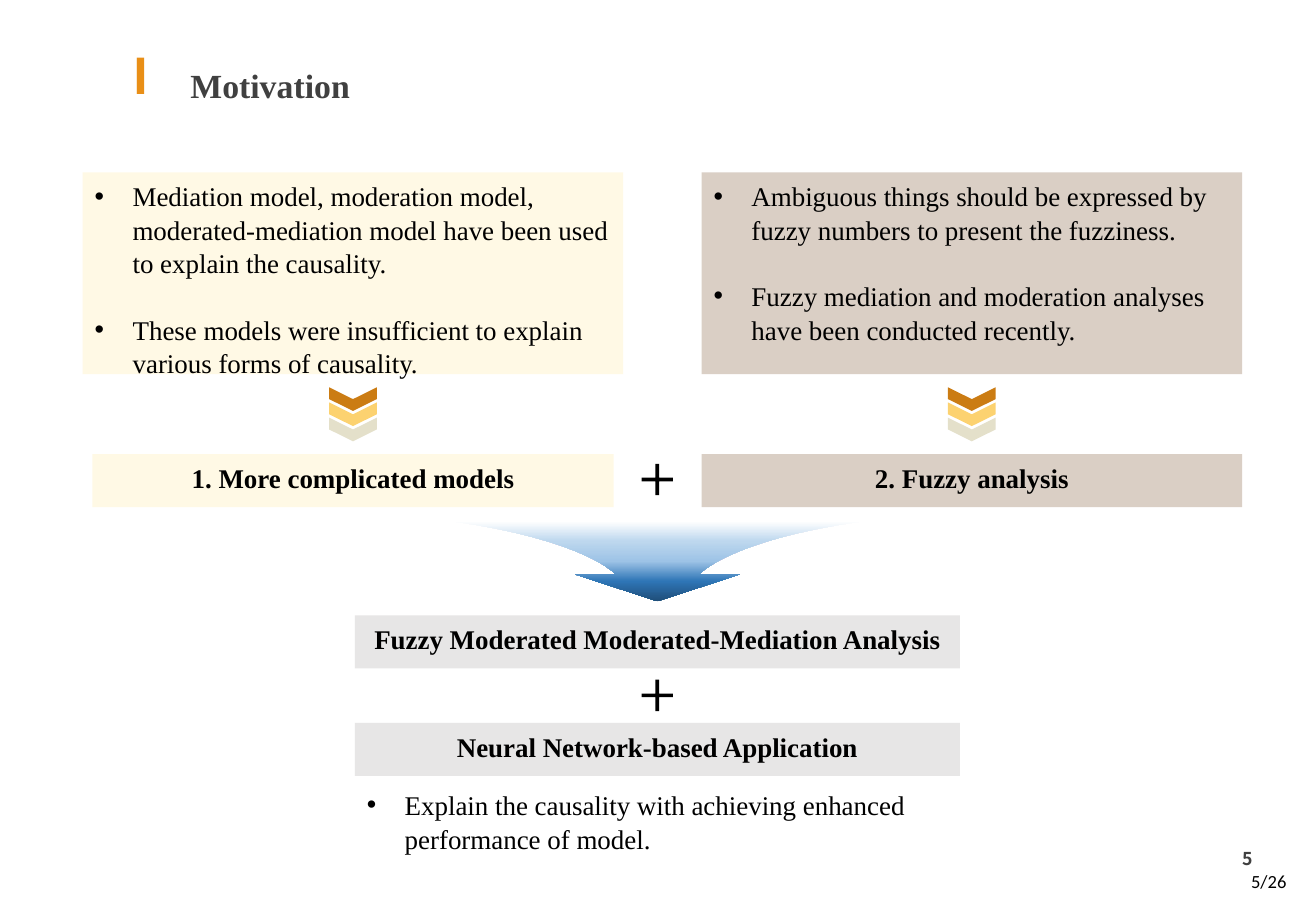
from lxml import etree
from pptx import Presentation
from pptx.dml.color import RGBColor
from pptx.enum.shapes import MSO_SHAPE
from pptx.enum.text import PP_ALIGN
from pptx.oxml.ns import qn
from pptx.util import Pt

RECTANGLE = MSO_SHAPE.RECTANGLE
CHEVRON = MSO_SHAPE.CHEVRON
PLUS = MSO_SHAPE.MATH_PLUS
LEFT, CENTER = PP_ALIGN.LEFT, PP_ALIGN.CENTER
SERIF, CJK, SANS = "Times New Roman", "Noto Sans CJK KR", "Calibri"
COLORS = {
    "black": "000000", "gray": "404040", "orange": "E98F17",
    "cream": "FFF9E5", "taupe": "DACFC5", "silver": "E7E6E6",
    "chevron_top": "CB7C13", "chevron_middle": "FCD270", "chevron_bottom": "E4E0CA",
}
ARROW_GRADIENT = [(0, "FFFFFF"), (25, "BDD7EE"), (50, "9DC3E6"), (75, "2E75B6"), (100, "1F4E79")]

presentation = Presentation()
presentation.slide_width, presentation.slide_height = Pt(780), Pt(540)
slide = presentation.slides.add_slide(presentation.slide_layouts[6])


def add_filled(kind, left, top, width, height, color):
    shape = slide.shapes.add_shape(kind, Pt(left), Pt(top), Pt(width), Pt(height))
    shape.shadow.inherit = False
    shape.fill.solid()
    shape.fill.fore_color.rgb = RGBColor.from_string(COLORS[color])
    shape.line.fill.background()
    return shape


def write(shape, lines, font=SERIF, size=16, color="black", bold=False,
          align=LEFT, bullets=False, spacing=1.04):
    frame = shape.text_frame
    frame.word_wrap = True
    frame.vertical_anchor = 1
    frame.text = "\n".join(lines)
    for index, paragraph in enumerate(frame.paragraphs):
        paragraph.alignment = align
        paragraph.line_spacing = spacing
        if index:
            paragraph.space_before = Pt(19.2)
        if bullets:
            properties = paragraph._p.get_or_add_pPr()
            properties.set("marL", str(Pt(22.5)))
            properties.set("indent", str(-Pt(22.5)))
            etree.SubElement(properties, qn("a:buFont"), typeface="Arial")
            etree.SubElement(properties, qn("a:buChar"), char="•")
        for run in paragraph.runs:
            run.font.name = font
            run.font.size = Pt(size)
            run.font.bold = bold
            run.font.color.rgb = RGBColor.from_string(COLORS[color])
            if font == CJK:
                etree.SubElement(run._r.get_or_add_rPr(), qn("a:ea"), typeface=CJK)


labels = [
    ("5", 729.5, 499, 50.5, 28.8, CJK, 10.5, "gray", True, 1.0),
    ("Ⅰ", 62, 27.4, 31.7, 42.5, CJK, 29, "orange", True, 0.9),
    ("Motivation", 105.8, 33.8, 498, 31.7, SERIF, 20, "gray", True, 1.04),
    ("5/26", 734.4, 512, 40, 20.9, SANS, 11, "black", False, 1.0),
]
for text, left, top, width, height, font, size, color, bold, spacing in labels:
    label = slide.shapes.add_textbox(Pt(left), Pt(top), Pt(width), Pt(height))
    write(label, [text], font, size, color, bold, spacing=spacing)

reasons = [
    (49, "cream", [
        "Mediation model, moderation model, moderated-mediation model have been used to explain the causality.",
        "These models were insufficient to explain various forms of causality.",
    ]),
    (415.8, "taupe", [
        "Ambiguous things should be expressed by fuzzy numbers to present the fuzziness.",
        "Fuzzy mediation and moderation analyses have been conducted recently.",
    ]),
]
for left, color, lines in reasons:
    write(add_filled(RECTANGLE, left, 102.2, 320.4, 119.6, color), lines, bullets=True)
    for step, layer in ((2, "bottom"), (1, "middle"), (0, "top")):
        chevron = add_filled(CHEVRON, left + 153.2, 222.5 + 9 * step, 14, 28.2, "chevron_" + layer)
        chevron.rotation = 90

headings = [
    ("1. More complicated models", 54.7, 269.2, 309, "cream"),
    ("2. Fuzzy analysis", 415.8, 269.2, 320.4, "taupe"),
    ("Fuzzy Moderated Moderated-Mediation Analysis", 210.3, 364.8, 358.6, "silver"),
    ("Neural Network-based Application", 210.3, 428.5, 358.6, "silver"),
]
for text, left, top, width, color in headings:
    write(add_filled(RECTANGLE, left, top, width, 31.5, color), [text], bold=True, align=CENTER)

for top in (271.6, 399.6):
    plus = add_filled(PLUS, 377, top, 25.2, 25.2, "black")
    plus.adjustments[0] = 0.088

middle, arrow_top, neck = 389.7, 309, 340.5
curve = [(122, arrow_top), (42.5, 320), (24.7, neck), (24.7, neck)]
side = []
for step in range(17):
    t = step / 16
    weights = ((1 - t) ** 3, 3 * t * (1 - t) ** 2, 3 * t * t * (1 - t), t ** 3)
    side.append(tuple(sum(w * point[axis] for w, point in zip(weights, curve)) for axis in (0, 1)))
side.append((48.8, neck))
outline = [(middle - x, y) for x, y in side] + [(middle, 356.4)]
outline += [(middle + x, y) for x, y in reversed(side)]
builder = slide.shapes.build_freeform(Pt(outline[0][0]), Pt(outline[0][1]))
builder.add_line_segments([(Pt(x), Pt(y)) for x, y in outline[1:]], close=True)
arrow = builder.convert_to_shape()
arrow.shadow.inherit = False
arrow.line.fill.background()
arrow.fill.gradient()
arrow.fill.gradient_angle = 270
stops = arrow._element.spPr.find(qn("a:gradFill")).find(qn("a:gsLst"))
for stop in list(stops):
    stops.remove(stop)
for position, color in ARROW_GRADIENT:
    stop = etree.SubElement(stops, qn("a:gs"), pos=str(position * 1000))
    etree.SubElement(stop, qn("a:srgbClr"), val=color)

goal = slide.shapes.add_textbox(Pt(210.3), Pt(463), Pt(358.6), Pt(46))
write(goal, ["Explain the causality with achieving enhanced performance of model."], bullets=True)

presentation.save("out.pptx")
